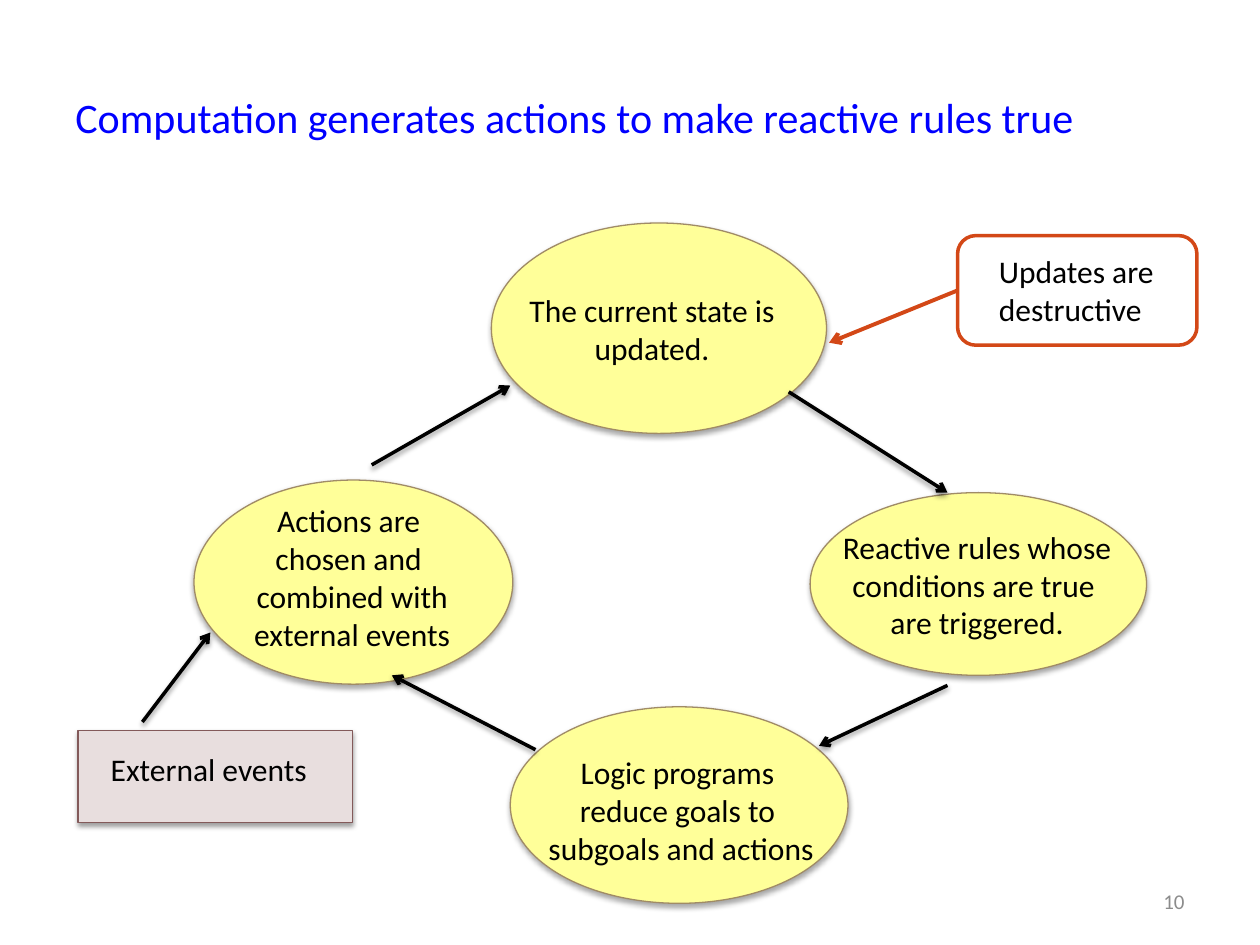
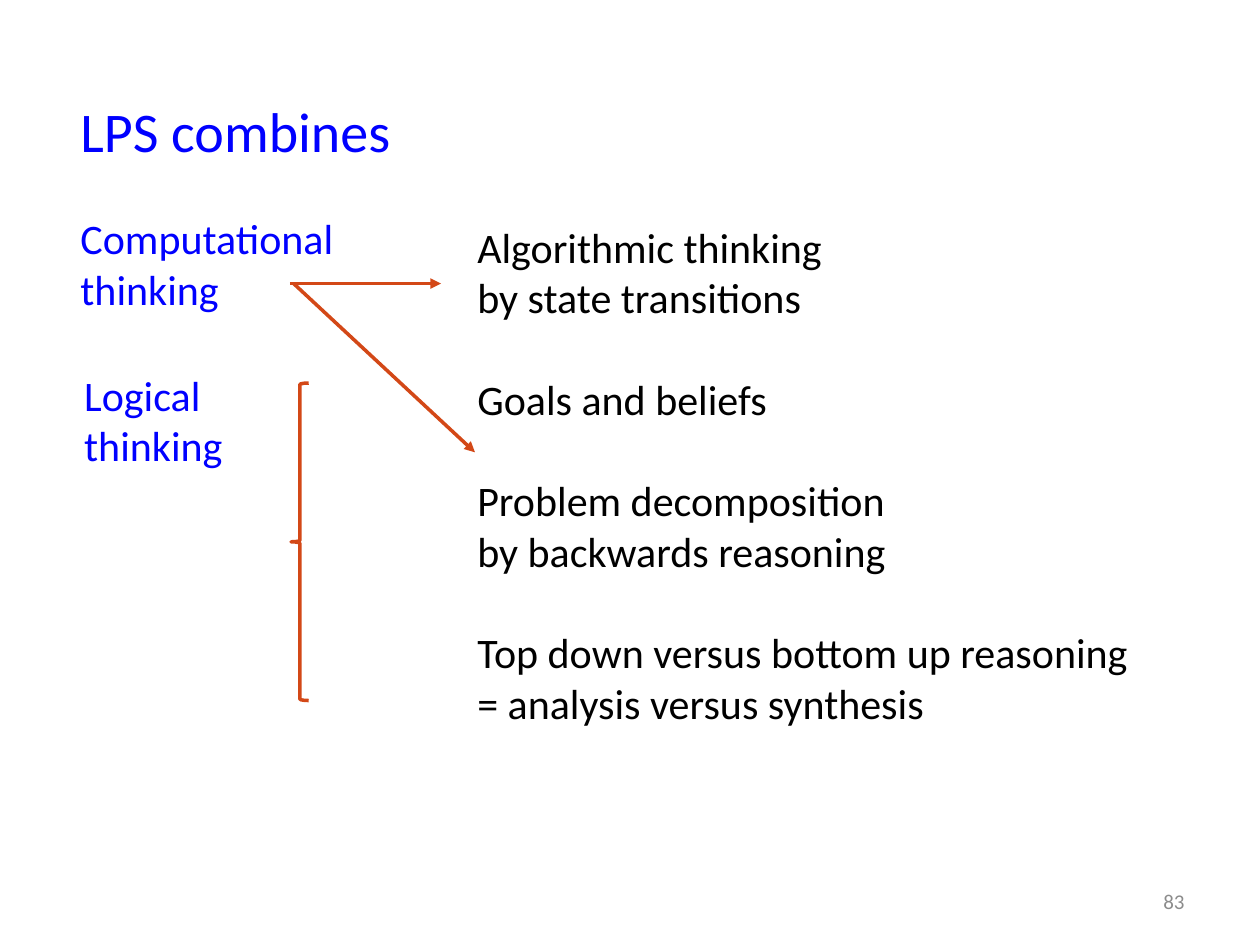
"""Build two slides on reactive computation and on what LPS combines."""
from dataclasses import dataclass
from typing import Optional

import pptx
import pptx.dml.color
import pptx.enum.shapes
import pptx.enum.text
import pptx.oxml
import pptx.oxml.ns
import pptx.util

SHAPE = pptx.enum.shapes.MSO_SHAPE
ALIGN = pptx.enum.text.PP_ALIGN
ANCHOR = pptx.enum.text.MSO_ANCHOR
Pt = pptx.util.Pt
qn = pptx.oxml.ns.qn

WIDTH, HEIGHT = pptx.util.Inches(10), pptx.util.Inches(7.5)
COLUMNS = 100
CELL = WIDTH // COLUMNS


@dataclass(frozen=True)
class Theme:
    """Colours as RRGGBB and type sizes in points."""
    font: str = "Calibri"
    heading: str = "0000FF"
    body: str = "000000"
    muted: str = "8C8C8C"
    accent: str = "D34817"
    paper: str = "FFFFFF"
    title: int = 32
    large: int = 24
    small: int = 18
    footer: int = 12
    line_pitch: float = 29.3


THEME = Theme()


@dataclass(frozen=True)
class Box:
    """A place on the grid, in columns and rows."""
    left: float
    top: float
    width: float
    height: float

    def emu(self) -> tuple[int, ...]:
        """Return the place in slide units."""
        return tuple(cells(n) for n in (self.left, self.top, self.width, self.height))


@dataclass(frozen=True)
class Look:
    """Fill, outline and shadow opacity of a shape."""
    fill: Optional[str]
    line: str
    weight: float
    shadow: int = 0


@dataclass(frozen=True)
class Label:
    """Text with its place and type style."""
    text: str
    box: Box
    size: int = THEME.small
    color: str = THEME.body
    align: ALIGN = ALIGN.LEFT
    anchor: ANCHOR = ANCHOR.TOP
    gaps: tuple[int, ...] = ()


@dataclass(frozen=True)
class Node:
    """A shape with the label laid over it."""
    kind: SHAPE
    box: Box
    look: Look
    label: Label


@dataclass(frozen=True)
class Arrow:
    """A straight arrow between two grid points."""
    start: tuple[float, float]
    end: tuple[float, float]
    color: str = THEME.accent
    weight: float = 2
    head: str = "triangle"
    shadow: int = 0


STEP = Look("FFFF99", "A08B66", 0.75, 35)
EVENT = Look("E8DEDE", "835A5A", 0.75, 38)
NOTE = Look(THEME.paper, THEME.accent, 2)
BRACE = Look(None, THEME.accent, 2)


def cells(n: float) -> int:
    """Convert grid cells to slide units."""
    return round(n * CELL)


def rgb(color: str) -> pptx.dml.color.RGBColor:
    """Return a colour object."""
    return pptx.dml.color.RGBColor.from_string(color)


def set_shadow(spPr, opacity: int) -> None:
    """Leave an empty effect list, or a soft shadow below."""
    effects = spPr.find(qn("a:effectLst"))
    if effects is None:
        effects = pptx.oxml.parse_xml(f"<a:effectLst {pptx.oxml.ns.nsdecls('a')}/>")
        spPr.append(effects)
    if opacity:
        effects.append(pptx.oxml.parse_xml(
            f"<a:outerShdw {pptx.oxml.ns.nsdecls('a')} blurRad='{Pt(3.1)}' "
            f"dist='{Pt(1.7)}' dir='5400000' rotWithShape='0'>"
            f"<a:srgbClr val='000000'><a:alpha val='{opacity * 1000}'/></a:srgbClr>"
            "</a:outerShdw>"))


def add_label(s, label: Label) -> None:
    """Add a text box; paragraphs listed in gaps follow an open line."""
    tf = s.shapes.add_textbox(*label.box.emu()).text_frame
    tf.word_wrap = True
    tf.vertical_anchor = label.anchor
    tf.text = label.text
    for i, p in enumerate(tf.paragraphs):
        p.alignment = label.align
        if i in label.gaps:
            p.space_before = Pt(THEME.line_pitch)
        for r in p.runs:
            r.font.name = THEME.font
            r.font.size = Pt(label.size)
            r.font.color.rgb = rgb(label.color)


def add_shape(s, kind: SHAPE, box: Box, look: Look):
    """Add a preset shape in the given look."""
    sp = s.shapes.add_shape(kind, *box.emu())
    if look.fill:
        sp.fill.solid()
        sp.fill.fore_color.rgb = rgb(look.fill)
    else:
        sp.fill.background()
    sp.line.color.rgb = rgb(look.line)
    sp.line.width = Pt(look.weight)
    sp.shadow.inherit = False
    set_shadow(sp._element.spPr, look.shadow)
    return sp


def add_node(s, node: Node):
    """Add a shape and its label."""
    sp = add_shape(s, node.kind, node.box, node.look)
    add_label(s, node.label)
    return sp


def add_arrow(s, arrow: Arrow):
    """Add a straight connector with a head at its end."""
    ends = (cells(n) for n in arrow.start + arrow.end)
    c = s.shapes.add_connector(pptx.enum.shapes.MSO_CONNECTOR.STRAIGHT, *ends)
    c.line.color.rgb = rgb(arrow.color)
    c.line.width = Pt(arrow.weight)
    spPr = c._element.spPr
    spPr.find(qn("a:ln")).append(pptx.oxml.parse_xml(
        f"<a:tailEnd {pptx.oxml.ns.nsdecls('a')} type='{arrow.head}'/>"))
    set_shadow(spPr, arrow.shadow)
    return c


def add_slide(prs, title: Label, number: int):
    """Add a blank slide with its title and number."""
    s = prs.slides.add_slide(prs.slide_layouts[6])
    add_label(s, title)
    add_label(s, Label(str(number), Box(71.7, 69.5, 23.3, 4), THEME.footer,
                       THEME.muted, ALIGN.RIGHT, ANCHOR.MIDDLE))
    return s


def heading(text: str, box: Box, size: int) -> Label:
    """Return a title label."""
    return Label(text, box, size, THEME.heading, anchor=ANCHOR.MIDDLE)


def step(box: Box, text: str, text_box: Box) -> Node:
    """Return one step of the cycle."""
    return Node(SHAPE.OVAL, box, STEP, Label(text, text_box, align=ALIGN.CENTER))


def cycle_arrow(start: tuple[float, float], end: tuple[float, float]) -> Arrow:
    """Return an arrow of the cycle."""
    return Arrow(start, end, THEME.body, head="arrow", shadow=38)


def build_cycle(prs) -> None:
    """Draw the computation cycle."""
    s = add_slide(prs, heading("Computation generates actions to make reactive rules true",
                               Box(5, 3, 90, 12.5), THEME.large), 10)
    nodes = (
        Node(SHAPE.RECTANGLE, Box(6.2, 58, 21.8, 7.3), EVENT,
             Label("External events", Box(7.8, 59, 18.1, 4))),
        step(Box(39, 17.7, 26.6, 16.7), "The current state is updated.",
             Box(36.8, 22.6, 29.9, 7.1)),
        step(Box(64.3, 39.1, 26.7, 14.5),
             "Reactive rules whose conditions are true \nare triggered.",
             Box(62.6, 41.4, 29.9, 10.1)),
        step(Box(40.5, 56.1, 26.8, 15.6),
             "Logic programs \nreduce goals to \nsubgoals and actions",
             Box(37.6, 59.3, 32.9, 10.1)),
        step(Box(15.4, 38.1, 25.3, 16.2),
             "Actions are \nchosen and \ncombined with\nexternal events",
             Box(13, 39.3, 29.9, 13.1)),
    )
    for node in nodes:
        add_node(s, node)
    for start, end in (
        ((29.5, 36.9), (40.5, 30.6)),
        ((11.3, 57.3), (16.7, 50.2)),
        ((62.6, 31.1), (75.2, 39.1)),
        ((75.2, 54.4), (65, 59.2)),
        ((42.5, 59.5), (31.1, 53.6)),
    ):
        add_arrow(s, cycle_arrow(start, end))
    note = add_node(s, Node(SHAPE.ROUNDED_RECTANGLE, Box(76, 18.7, 19, 8.7), NOTE,
                            Label("Updates are destructive", Box(78.3, 19.5, 16.7, 7.1))))
    pointer = add_arrow(s, Arrow((76, 23), (65.8, 27.2), weight=2.25, head="arrow"))
    pointer.begin_connect(note, 1)


def build_combination(prs) -> None:
    """Draw the kinds of thinking that LPS combines."""
    s = add_slide(prs, heading("LPS combines", Box(5.4, 4.1, 34.2, 12.5), THEME.title), 83)
    topics = ("Algorithmic thinking\nby state transitions\nGoals and beliefs\n"
              "Problem decomposition\nby backwards reasoning\n"
              "Top down versus bottom up reasoning\n= analysis versus synthesis")
    for label in (
        Label(topics, Box(36.9, 17.05, 56, 41.2), THEME.large, gaps=(2, 3, 5)),
        Label("Computational\nthinking", Box(5.4, 16.4, 32.3, 9.1), THEME.large, THEME.heading),
        Label("Logical\nthinking", Box(5.7, 28.8, 21.3, 9.1), THEME.large, THEME.heading),
    ):
        add_label(s, label)
    add_shape(s, SHAPE.RIGHT_BRACE, Box(23.1, 30.4, 1.4, 25.2), BRACE).rotation = 180
    add_arrow(s, Arrow((23, 22.5), (35, 22.5)))
    add_arrow(s, Arrow((23.3, 22.5), (37.7, 35.9)))


def main() -> None:
    """Build and save the presentation."""
    prs = pptx.Presentation()
    prs.slide_width, prs.slide_height = WIDTH, HEIGHT
    build_cycle(prs)
    build_combination(prs)
    prs.save("out.pptx")


if __name__ == "__main__":
    main()
